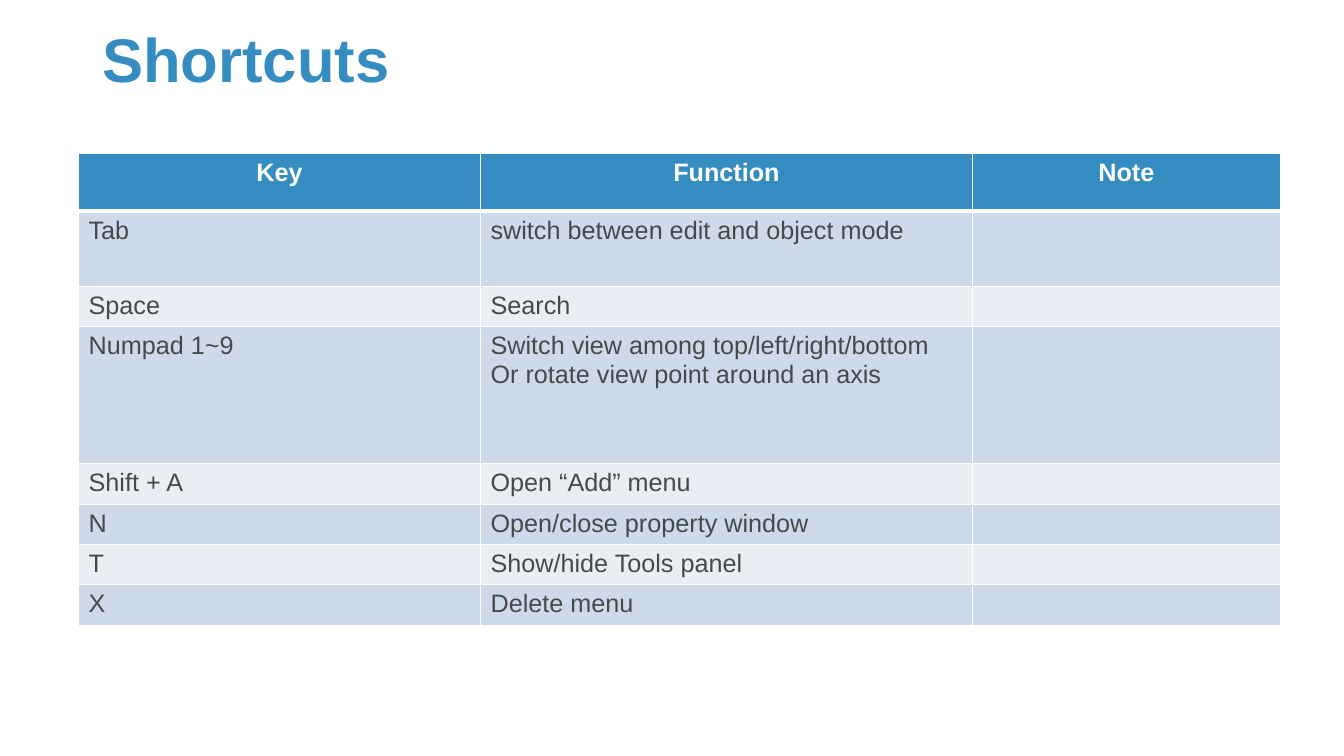
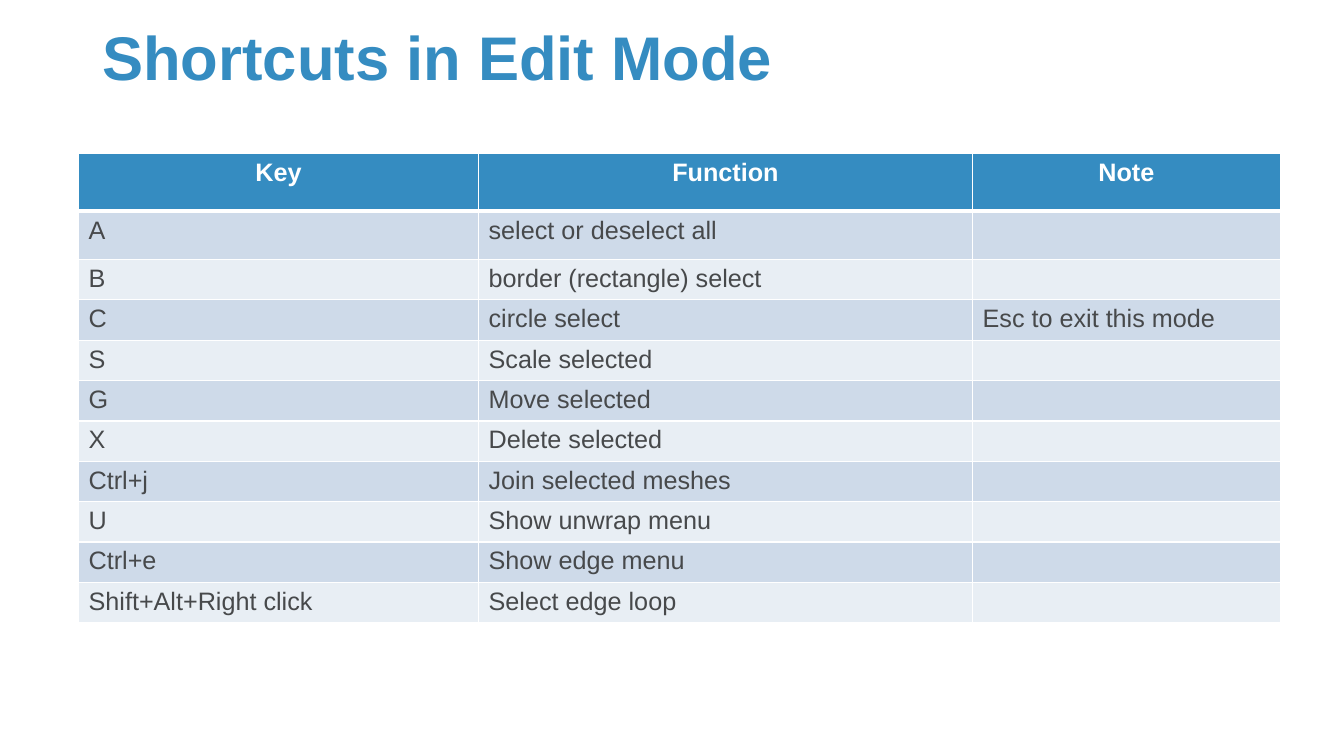
"""Build two slides that list keyboard shortcuts in tables."""
from lxml.etree import SubElement
from pptx import Presentation
from pptx.dml.color import RGBColor
from pptx.enum.text import MSO_ANCHOR as ANCHOR, PP_ALIGN as ALIGN
from pptx.oxml.ns import qn
from pptx.util import Cm, Pt

BLUE = RGBColor(0x35, 0x8C, 0xC1)
BAND_DARK = RGBColor(0xCE, 0xDA, 0xE9)
BAND_LIGHT = RGBColor(0xE8, 0xEE, 0xF4)
WHITE = RGBColor(0xFF, 0xFF, 0xFF)
GREY = RGBColor(0x47, 0x49, 0x4B)

HEADINGS = ("Key", "Function", "Note")
HEADER_HEIGHT = 1.45
ROW_HEIGHT = 0.97
NOTE_LEFT = 22.53
NOTE_WIDTH = 7.75

GENERAL_KEYS = [
    ("Tab", "switch between edit and object mode", "", 1.9),
    ("Space", "Search", "", ROW_HEIGHT),
    ("Numpad 1~9", "Switch view among top/left/right/bottom\n"
                   "Or rotate view point around an axis", "", 3.45),
    ("Shift + A", "Open “Add” menu", "", 1),
    ("N", "Open/close property window", "", 1),
    ("T", "Show/hide Tools panel", "", 1),
    ("X", "Delete menu", "", 1),
]
EDIT_KEYS = [
    ("A", "select or deselect all", "", 1.22),
    ("B", "border (rectangle) select", "", ROW_HEIGHT),
    ("C", "circle select", "Esc to exit this mode", ROW_HEIGHT),
    ("S", "Scale selected", "", ROW_HEIGHT),
    ("G", "Move selected", "", ROW_HEIGHT),
    ("X", "Delete selected", "", ROW_HEIGHT),
    ("Ctrl+j", "Join selected meshes", "", ROW_HEIGHT),
    ("U", "Show unwrap menu", "", ROW_HEIGHT),
    ("Ctrl+e", "Show edge menu", "", ROW_HEIGHT),
    ("Shift+Alt+Right click", "Select edge loop", "", ROW_HEIGHT),
]


class Deck:
    """Hold the shared style and the current slide."""

    TITLE = {"name": "Arial", "size": Pt(44), "bold": True, "rgb": BLUE}
    HEADER = {"name": "Arial", "size": Pt(18), "bold": True, "rgb": WHITE}
    BODY = {"name": "Arial", "size": Pt(18), "bold": False, "rgb": GREY}

    def __init__(self):
        """Start a widescreen presentation."""
        self.prs = Presentation()
        self.prs.slide_width, self.prs.slide_height = Cm(33.87), Cm(19.05)
        self.s = None

    def slide(self):
        """Add a blank slide and make it current."""
        self.s = self.prs.slides.add_slide(self.prs.slide_layouts[6])

    def put_text(self, tf, text, style, **layout):
        """Fill a text frame with styled paragraphs."""
        tf.text = text
        for p in tf.paragraphs:
            for key, value in layout.items():
                setattr(p, key, value)
            for r in p.runs:
                for key, value in style.items():
                    setattr(r.font.color if key == "rgb" else r.font, key, value)

    def title(self, text, anchor):
        """Add the slide title."""
        sp = self.s.shapes.add_textbox(Cm(2.33), Cm(0.5), Cm(29.2), Cm(2.03))
        tf = sp.text_frame
        tf.word_wrap = True
        tf.vertical_anchor = anchor
        self.put_text(tf, text, self.TITLE, line_spacing=0.9)

    def borders(self, cell, top, bottom):
        """Draw white cell borders with the given top and bottom widths."""
        tc_pr = cell._tc.get_or_add_tcPr()
        for side, width in zip("LRTB", (1, 1, top, bottom)):
            ln = SubElement(tc_pr, qn(f"a:ln{side}"), w=str(Pt(width)))
            fill = SubElement(ln, qn("a:solidFill"))
            SubElement(fill, qn("a:srgbClr"), val=str(WHITE))

    def table(self, rows, key_width):
        """Add a banded shortcut table under a header row."""
        rows = [(*HEADINGS, HEADER_HEIGHT), *rows]
        widths = (key_width, NOTE_LEFT - key_width, NOTE_WIDTH)
        height = sum(row[-1] for row in rows)
        table = self.s.shapes.add_table(
            len(rows), len(widths), Cm(1.98), Cm(3.87),
            Cm(sum(widths)), Cm(height)).table
        for column, width in zip(table.columns, widths):
            column.width = Cm(width)
        for i, (*texts, row_height) in enumerate(rows):
            table.rows[i].height = Cm(row_height)
            header = i == 0
            band = BAND_DARK if i % 2 else BAND_LIGHT
            for cell, text in zip(table.rows[i].cells, texts):
                self.borders(cell, 3 if i == 1 else 1, 3 if header else 1)
                cell.fill.solid()
                cell.fill.fore_color.rgb = BLUE if header else band
                self.put_text(cell.text_frame, text,
                              self.HEADER if header else self.BODY,
                              alignment=ALIGN.CENTER if header else ALIGN.LEFT)


def main():
    """Build and save the slides."""
    deck = Deck()
    for title, anchor, rows, key_width in (
            ("Shortcuts", ANCHOR.BOTTOM, GENERAL_KEYS, 10.13),
            ("Shortcuts in Edit Mode", ANCHOR.MIDDLE, EDIT_KEYS, 10.08)):
        deck.slide()
        deck.title(title, anchor)
        deck.table(rows, key_width)
    deck.prs.save("out.pptx")


if __name__ == "__main__":
    main()
